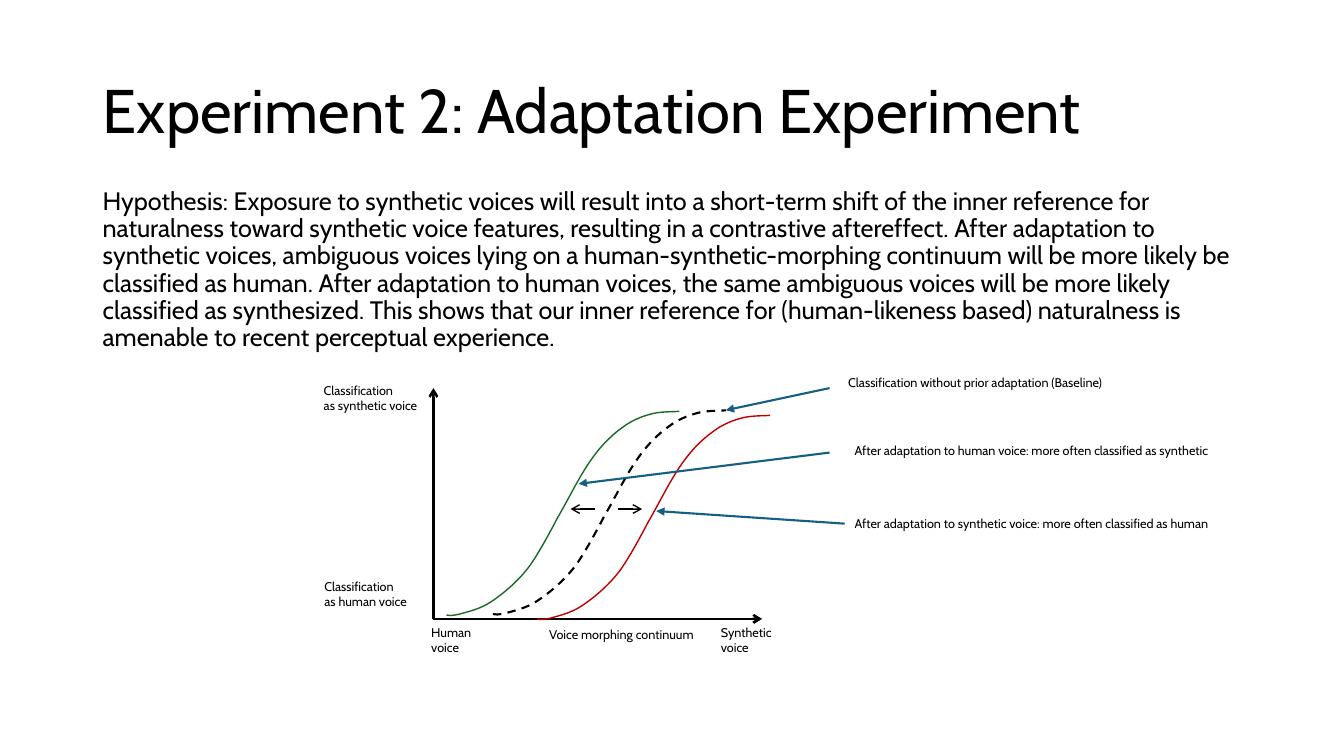
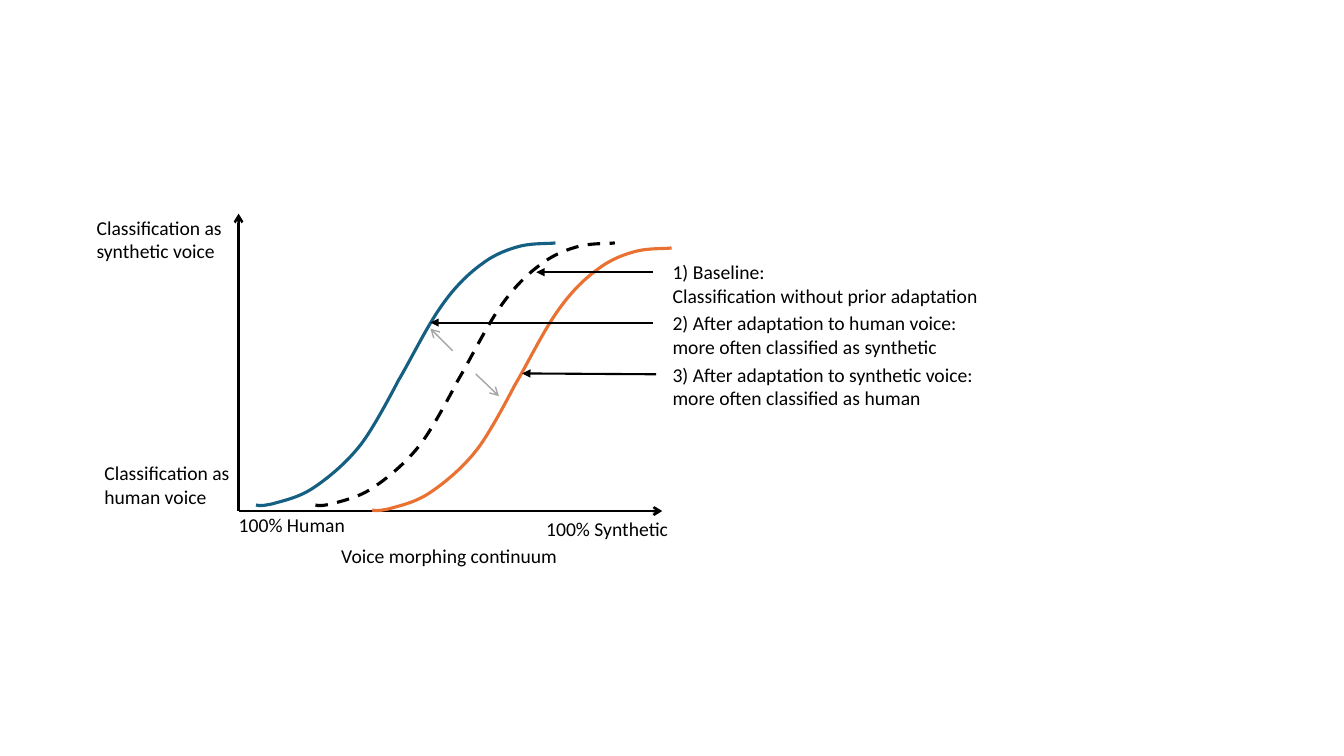
from dataclasses import dataclass
from typing import Optional

from lxml import etree
from pptx import Presentation
from pptx.dml.color import RGBColor
from pptx.enum.dml import MSO_LINE
from pptx.enum.shapes import MSO_CONNECTOR
from pptx.enum.text import MSO_ANCHOR, MSO_AUTO_SIZE, PP_ALIGN
from pptx.oxml.ns import qn
from pptx.util import Inches, Pt

BLACK = RGBColor(0x00, 0x00, 0x00)
RED = RGBColor(0xC0, 0x00, 0x00)
GREEN = RGBColor(0x19, 0x6B, 0x24)
BLUE = RGBColor(0x15, 0x60, 0x82)
ORANGE = RGBColor(0xE9, 0x71, 0x32)
GREY = RGBColor(0xA6, 0xA6, 0xA6)

LEFT = PP_ALIGN.LEFT
TOP = MSO_ANCHOR.TOP
MIDDLE = MSO_ANCHOR.MIDDLE
NO_AUTOFIT = MSO_AUTO_SIZE.NONE
GROW = MSO_AUTO_SIZE.SHAPE_TO_FIT_TEXT
DASH = MSO_LINE.DASH
STRAIGHT = MSO_CONNECTOR.STRAIGHT
OPEN_HEAD = "arrow"
FILLED_HEAD = "triangle"
LEFT_SIDE = 1

TITLE_ONLY_LAYOUT = 5
BLANK_LAYOUT = 6
COLUMNS = 133.33
ROWS = 75
CELL = Inches(0.1)
TITLE_FONT = "Cabin"
FIGURE_FONT = "Calibri"
AXIS_WIDTH = 1.75

CURVE_COLUMNS = 29.7
CURVE_START = (0, 26)
CURVE_SEGMENTS = [
    ((0.3, 26.1), (0.6, 26.1), (1.6, 25.9)),
    ((2.6, 25.6), (4.2, 25.3), (5.7, 24.3)),
    ((7.2, 23.3), (9, 21.8), (10.4, 20)),
    ((11.8, 18.2), (14.1, 13.7), (14.1, 13.7)),
    ((15.4, 11.5), (16.9, 8.4), (18.3, 6.4)),
    ((19.6, 4.5), (21, 3.1), (22.4, 2.1)),
    ((23.7, 1.1), (25.1, 0.6), (26.3, 0.3)),
    ((27.6, 0), (29.2, 0.1), (29.7, 0)),
]

HYPOTHESIS = (
    "Hypothesis: Exposure to synthetic voices will result into a short-term shift of the "
    "inner reference for naturalness toward synthetic voice features, resulting in a "
    "contrastive aftereffect. After adaptation to synthetic voices, ambiguous voices lying "
    "on a human-synthetic-morphing continuum will be more likely be classified as human. "
    "After adaptation to human voices, the same ambiguous voices will be more likely "
    "classified as synthesized. This shows that our inner reference for (human-likeness "
    "based) naturalness is amenable to recent perceptual experience."
)
SYNTHETIC_POINTER = "After adaptation to synthetic voice: more often classified as human"


@dataclass(frozen=True)
class Label:
    text: str
    column: float
    row: float
    width: float
    wrap: bool = False


@dataclass(frozen=True)
class Curve:
    column: float
    row: float
    colour: RGBColor
    width: float
    dashed: bool = False


@dataclass(frozen=True)
class Arrow:
    start: tuple
    end: tuple
    colour: RGBColor
    width: float
    head: str
    source: Optional[str] = None


@dataclass(frozen=True)
class Figure:
    origin: tuple
    axis_top: float
    axis_right: float
    curve_width: float
    font: str
    size: float
    curves: list
    labels: list
    arrows: list


HYPOTHESIS_FIGURE = Figure(
    origin=(43, 61.4),
    axis_top=38.5,
    axis_right=75.6,
    curve_width=23.1,
    font=TITLE_FONT,
    size=9,
    curves=[
        Curve(48.9, 40.7, BLACK, 1.5, dashed=True),
        Curve(53.3, 41.2, RED, 1),
        Curve(44.3, 40.8, GREEN, 1),
    ],
    labels=[
        Label("Classification\nas synthetic voice", 31.13, 37.5, 11.8),
        Label("Classification\nas human voice", 31.2, 56.9, 10.6),
        Label("Voice morphing continuum", 53.5, 61.7, 17),
        Label("Human\nvoice", 41.8, 61.5, 6.3),
        Label("Synthetic\nvoice", 70.53, 61.5, 7.4),
        Label("Classification without prior adaptation (Baseline)", 83.17, 36.7, 28.6),
        Label("After adaptation to human voice: more often classified as synthetic",
              83.8, 43.45, 38.5),
        Label(SYNTHETIC_POINTER, 83.8, 50.7, 38.4),
    ],
    arrows=[
        Arrow((61.3, 50.5), (63.7, 50.5), BLACK, 1, OPEN_HEAD),
        Arrow((59, 50.5), (56.6, 50.5), BLACK, 1, OPEN_HEAD),
        Arrow((82.3, 38.5), (72, 40.7), BLUE, 1.5, FILLED_HEAD),
        Arrow((82.3, 44.9), (57.4, 48), BLUE, 1.5, FILLED_HEAD),
        Arrow((83.8, 51.9), (65.1, 50.7), BLUE, 1.5, FILLED_HEAD, SYNTHETIC_POINTER),
    ],
)

SUMMARY_FIGURE = Figure(
    origin=(23.67, 50.7),
    axis_top=21.2,
    axis_right=65.7,
    curve_width=CURVE_COLUMNS,
    font=FIGURE_FONT,
    size=14,
    curves=[
        Curve(31.3, 24.1, BLACK, 2.25, dashed=True),
        Curve(36.93, 24.6, ORANGE, 2.25),
        Curve(25.4, 24.1, BLUE, 2.25),
    ],
    labels=[
        Label("Voice morphing continuum", 32.87, 53.5, 23.6),
        Label("100% Human", 22.7, 50.4, 13.3, wrap=True),
        Label("100% Synthetic", 53.2, 50.75, 15.7, wrap=True),
        Label("Classification as\nhuman voice", 9.37, 45.24, 15),
        Label("Classification as\nsynthetic voice", 8.6, 20.9, 15),
        Label("1) Baseline:\nClassification without prior adaptation", 65.74, 25.3, 32.7),
        Label("2) After adaptation to human voice:\nmore often classified as synthetic",
              65.74, 30.36, 40.3, wrap=True),
        Label("3) After adaptation to synthetic voice:\nmore often classified as human",
              65.74, 35.5, 40.3, wrap=True),
    ],
    arrows=[
        Arrow((47.2, 37.1), (49.5, 39.3), GREY, 1, OPEN_HEAD),
        Arrow((44.9, 34.8), (42.7, 32.6), GREY, 1, OPEN_HEAD),
        Arrow((64.8, 27), (53.2, 27), BLACK, 1.5, FILLED_HEAD),
        Arrow((64.8, 32), (42.7, 32), BLACK, 1.5, FILLED_HEAD),
        Arrow((65.1, 37.13), (51.8, 37.05), BLACK, 1.5, FILLED_HEAD),
    ],
)


def grid(cells: float) -> int:
    return round(cells * CELL)


def write_text(shape, text: str, *, font: str, size: float, colour: RGBColor = BLACK,
               line_spacing: Optional[float] = None, anchor=TOP, wrap: bool = True,
               fit=NO_AUTOFIT) -> None:
    frame = shape.text_frame
    frame.word_wrap = wrap
    frame.auto_size = fit
    frame.vertical_anchor = anchor
    frame.text = text
    for paragraph in frame.paragraphs:
        paragraph.alignment = LEFT
        paragraph.line_spacing = line_spacing
        for run in paragraph.runs:
            run.font.name = font
            run.font.size = Pt(size)
            run.font.color.rgb = colour


def draw_label(slide, label: Label, font: str, size: float):
    line_count = label.text.count("\n") + 1
    height = 1 + line_count * size / 6
    box = slide.shapes.add_textbox(
        grid(label.column), grid(label.row), grid(label.width), grid(height))
    write_text(box, label.text, font=font, size=size, wrap=label.wrap, fit=GROW)
    return box


def draw_arrow(slide, arrow: Arrow, source=None) -> None:
    ends = [grid(value) for value in (*arrow.start, *arrow.end)]
    connector = slide.shapes.add_connector(STRAIGHT, *ends)
    if source is not None:
        connector.begin_connect(source, LEFT_SIDE)
    connector.line.color.rgb = arrow.colour
    connector.line.width = Pt(arrow.width)
    properties = connector._element.spPr
    etree.SubElement(properties.find(qn("a:ln")), qn("a:tailEnd"), type=arrow.head)
    etree.SubElement(properties, qn("a:effectLst"))


def bend_segments(shape, segments: list) -> None:
    lines = list(shape._element.iter(qn("a:lnTo")))
    for line, segment in zip(lines, segments):
        bend = etree.Element(qn("a:cubicBezTo"))
        for x, y in segment:
            etree.SubElement(bend, qn("a:pt"), x=str(x - shape.left), y=str(y - shape.top))
        line.getparent().replace(line, bend)


def draw_curve(slide, curve: Curve, scale: float) -> None:
    def place(point: tuple) -> tuple:
        return grid(curve.column + point[0] * scale), grid(curve.row + point[1] * scale)

    segments = [[place(point) for point in segment] for segment in CURVE_SEGMENTS]
    builder = slide.shapes.build_freeform(*place(CURVE_START))
    builder.add_line_segments([segment[-1] for segment in segments], close=False)
    shape = builder.convert_to_shape()
    bend_segments(shape, segments)
    shape.shadow.inherit = False
    shape.fill.background()
    shape.line.color.rgb = curve.colour
    shape.line.width = Pt(curve.width)
    if curve.dashed:
        shape.line.dash_style = DASH


def draw_figure(slide, figure: Figure) -> None:
    column, row = figure.origin
    for end in ((column, figure.axis_top), (figure.axis_right, row)):
        draw_arrow(slide, Arrow(figure.origin, end, BLACK, AXIS_WIDTH, OPEN_HEAD))
    for curve in figure.curves:
        draw_curve(slide, curve, figure.curve_width / CURVE_COLUMNS)
    boxes = {label.text: draw_label(slide, label, figure.font, figure.size)
             for label in figure.labels}
    for arrow in figure.arrows:
        draw_arrow(slide, arrow, boxes.get(arrow.source))


def build_hypothesis_slide(presentation) -> None:
    slide = presentation.slides.add_slide(presentation.slide_layouts[TITLE_ONLY_LAYOUT])
    title = slide.shapes.title
    title.left, title.top = grid(9.2), grid(4)
    title.width, title.height = grid(115), grid(14.5)
    write_text(title, "Experiment 2: Adaptation Experiment", font=TITLE_FONT, size=44,
               line_spacing=0.9, anchor=MIDDLE)
    body = slide.shapes.add_textbox(grid(9.2), grid(18.23), grid(115), grid(17.5))
    write_text(body, HYPOTHESIS, font=TITLE_FONT, size=18, line_spacing=0.9)
    draw_figure(slide, HYPOTHESIS_FIGURE)


def build_summary_slide(presentation) -> None:
    slide = presentation.slides.add_slide(presentation.slide_layouts[BLANK_LAYOUT])
    draw_figure(slide, SUMMARY_FIGURE)


def main() -> None:
    presentation = Presentation()
    presentation.slide_width = grid(COLUMNS)
    presentation.slide_height = grid(ROWS)
    build_hypothesis_slide(presentation)
    build_summary_slide(presentation)
    presentation.save("out.pptx")


if __name__ == "__main__":
    main()
